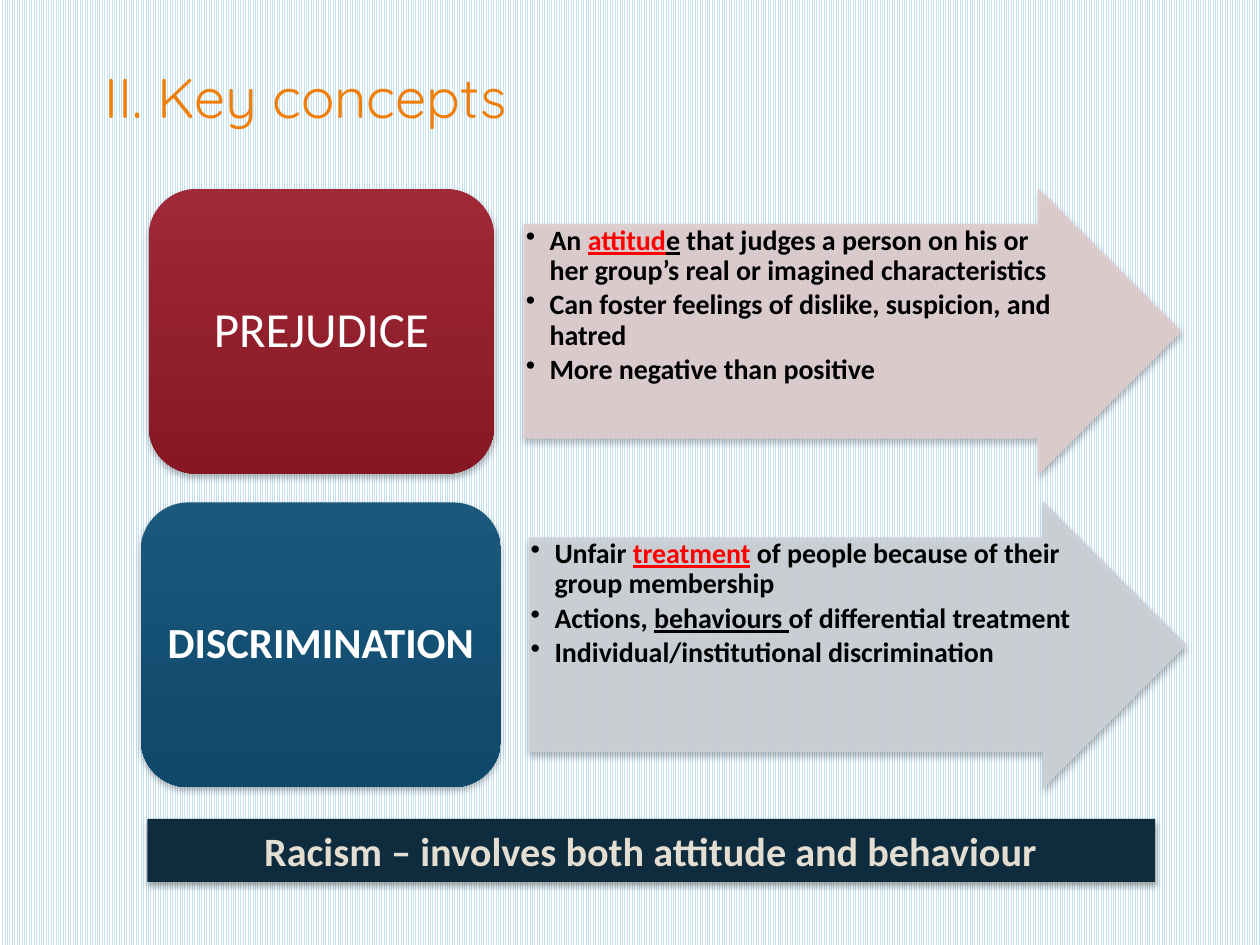
from lxml.etree import SubElement
from pptx import Presentation
from pptx.dml.color import RGBColor
from pptx.enum.dml import MSO_PATTERN
from pptx.enum.shapes import MSO_SHAPE
from pptx.enum.text import MSO_ANCHOR, PP_ALIGN
from pptx.oxml.ns import qn
from pptx.util import Cm, Pt

SKY = RGBColor(0xC4, 0xE1, 0xF2)
WHITE = RGBColor(0xFF, 0xFF, 0xFF)
BLACK = RGBColor(0, 0, 0)
RED = RGBColor(0xFF, 0, 0)
ORANGE = RGBColor(0xF0, 0x7F, 0x09)
NAVY = RGBColor(0x0E, 0x2C, 0x3E)
SAND = RGBColor(0xE3, 0xDE, 0xD1)
ROSE = RGBColor(0xDF, 0xCD, 0xCE)
MIST = RGBColor(0xCC, 0xD1, 0xD7)
WINE = (RGBColor(0x9F, 0x29, 0x36), RGBColor(0x88, 0x17, 0x24))
BLUE = (RGBColor(0x1B, 0x58, 0x7C), RGBColor(0x0E, 0x48, 0x6A))

PREJUDICE = [
    [("An ", BLACK, False), ("attitud", RED, True), ("e", BLACK, True),
     (" that judges a person on his or her group’s real or imagined characteristics",
      BLACK, False)],
    [("Can foster feelings of dislike, suspicion, and hatred", BLACK, False)],
    [("More negative than positive", BLACK, False)],
]
DISCRIMINATION = [
    [("Unfair ", BLACK, False), ("treatment", RED, True),
     (" of people because of their group membership", BLACK, False)],
    [("Actions, ", BLACK, False), ("behaviours ", BLACK, True),
     ("of differential treatment", BLACK, False)],
    [("Individual/institutional discrimination", BLACK, False)],
]


def shade(shape, alpha=28, blur=4, dist=2):
    """Give a shape a soft shadow falling straight down."""
    shape.shadow.inherit = False
    effects = shape._element.spPr.find(qn("a:effectLst"))
    drop = SubElement(effects, qn("a:outerShdw"), blurRad=str(Pt(blur)),
                      dist=str(Pt(dist)), dir="5400000", rotWithShape="0")
    color = SubElement(drop, qn("a:srgbClr"), val="000000")
    SubElement(color, qn("a:alpha"), val=str(alpha * 1000))


def style(run, size, color, bold=False, name="Calibri"):
    """Set the font of a run."""
    font = run.font
    font.size, font.bold, font.name = Pt(size), bold, name
    font.color.rgb = color


def frame(slide, box, inset=(0.25, 0.13), anchor=MSO_ANCHOR.TOP):
    """Add a wrapping text box and return its text frame."""
    text = slide.shapes.add_textbox(*map(Cm, box)).text_frame
    text.word_wrap = True
    text.vertical_anchor = anchor
    text.margin_left = text.margin_right = Cm(inset[0])
    text.margin_top = text.margin_bottom = Cm(inset[1])
    return text


def title(slide, box):
    """Add the slide title."""
    text = frame(slide, box, anchor=MSO_ANCHOR.BOTTOM)
    text.text = "II. Key concepts"
    style(text.paragraphs[0].runs[0], 32, ORANGE, name="Quicksand")


def banner(slide, box):
    """Add the dark closing bar."""
    bar = slide.shapes.add_shape(MSO_SHAPE.RECTANGLE, *map(Cm, box))
    bar.fill.solid()
    bar.fill.fore_color.rgb = NAVY
    bar.line.fill.background()
    shade(bar, 32, 3.5, 2.2)
    bar.text_frame.text = "Racism – involves both attitude and behaviour"
    line = bar.text_frame.paragraphs[0]
    line.alignment = PP_ALIGN.CENTER
    style(line.runs[0], 23, SAND, True)


def bullets(slide, box, points):
    """Add a bulleted list of runs with their own colour and underline."""
    text = frame(slide, box, (0.03, 0.03))
    for index, parts in enumerate(points):
        line = text.add_paragraph() if index else text.paragraphs[0]
        line.level = 1
        line.line_spacing = 0.9
        line.space_after = Pt(2.4)
        props = line._p.get_or_add_pPr()
        props.set("marL", str(Cm(0.48)))
        props.set("indent", str(-Cm(0.48)))
        SubElement(props, qn("a:buChar"), char="•")
        for words, color, under in parts:
            run = line.add_run()
            run.text = words
            style(run, 16, color, True)
            run.font.underline = under


def arrow(slide, box, color, points):
    """Add a translucent arrow and the list that lies on its shaft."""
    left, top, width, height = box
    shape = slide.shapes.add_shape(MSO_SHAPE.RIGHT_ARROW, *map(Cm, box))
    shape.adjustments[0] = 0.75
    shape.adjustments[1] = 0.5
    shape.fill.solid()
    shape.fill.fore_color.rgb = color
    shape.line.color.rgb = color
    shape.line.width = Pt(0.75)
    for tint in shape._element.spPr.iter(qn("a:srgbClr")):
        SubElement(tint, qn("a:alpha"), val="90000")
    shade(shape)
    bullets(slide, (left, top + height / 8, 11.07, height * 0.75), points)


def block(slide, box, colors, label, size, bold):
    """Add a rounded gradient block with its label."""
    left, top, width, height = box
    shape = slide.shapes.add_shape(MSO_SHAPE.ROUNDED_RECTANGLE, *map(Cm, box))
    shape.fill.gradient()
    shape.fill.gradient_angle = 270
    for stop, color, place in zip(shape.fill.gradient_stops, colors, (0, 1)):
        stop.color.rgb = color
        stop.position = place
    shape.line.fill.background()
    shade(shape)
    pad = 0.28
    inner = (left + pad, top + pad, width - 2 * pad, height - 2 * pad)
    text = frame(slide, inner, (0.25, 0.13), MSO_ANCHOR.MIDDLE)
    text.text = label
    line = text.paragraphs[0]
    line.alignment = PP_ALIGN.CENTER
    line.line_spacing = 0.9
    style(line.runs[0], size, WHITE, bold)


def main():
    """Build and save the slide."""
    deck = Presentation()
    deck.slide_width, deck.slide_height = Cm(25.4), Cm(19.05)
    slide = deck.slides.add_slide(deck.slide_layouts[6])
    fill = slide.background.fill
    fill.patterned()
    fill.pattern = MSO_PATTERN.LIGHT_VERTICAL
    fill.fore_color.rgb = SKY
    fill.back_color.rgb = WHITE
    banner(slide, (2.97, 16.51, 20.32, 1.27))
    title(slide, (1.85, -0.43, 19.51, 3.18))
    high = 5.74
    arrow(slide, (10.57, 3.81, 13.23, high), ROSE, PREJUDICE)
    block(slide, (3, 3.81, 6.96, high), WINE, "PREJUDICE", 28, False)
    arrow(slide, (10.67, 10.13, 13.23, high), MIST, DISCRIMINATION)
    block(slide, (2.84, 10.13, 7.26, high), BLUE, "DISCRIMINATION", 24.5, True)
    deck.save("out.pptx")


main()
